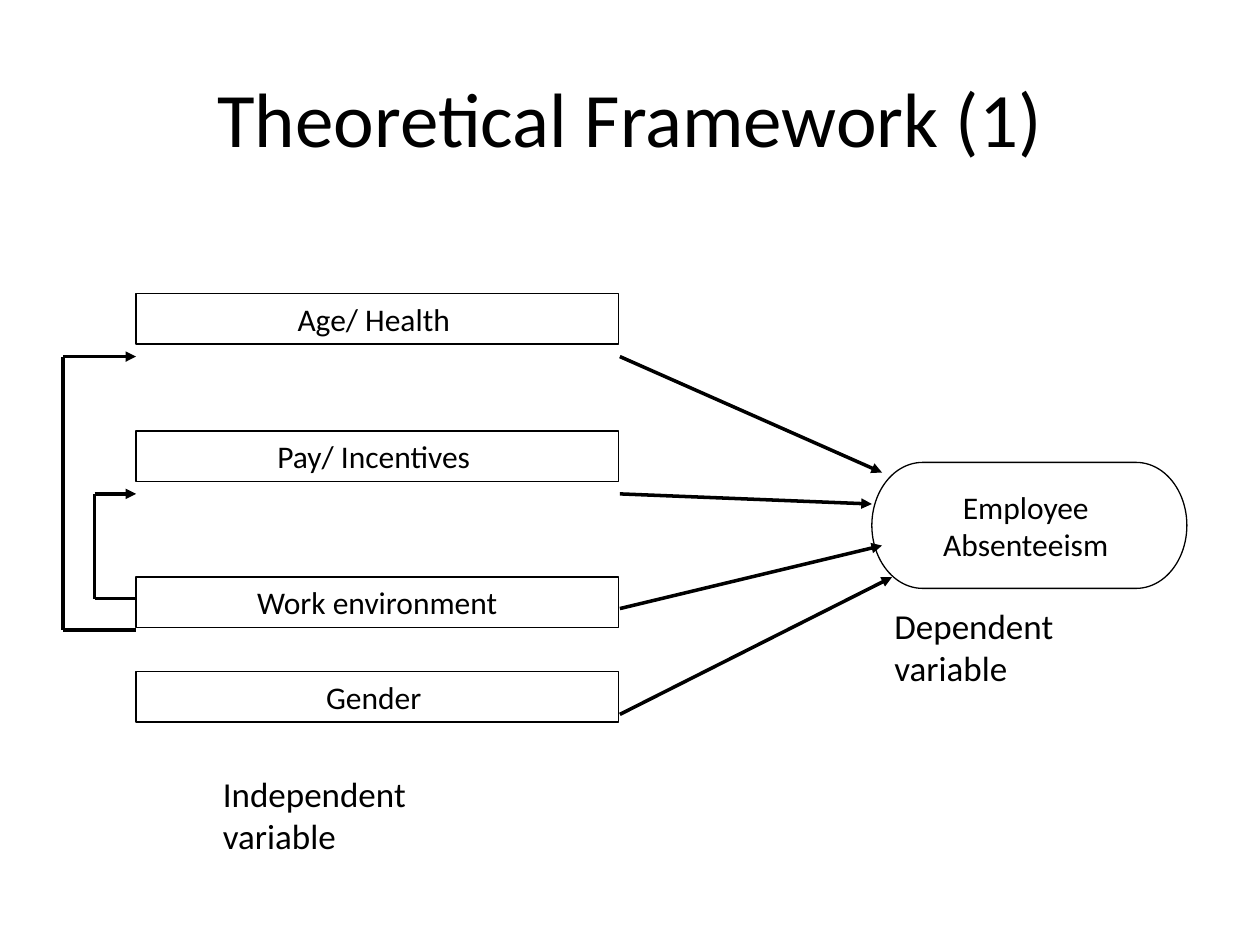
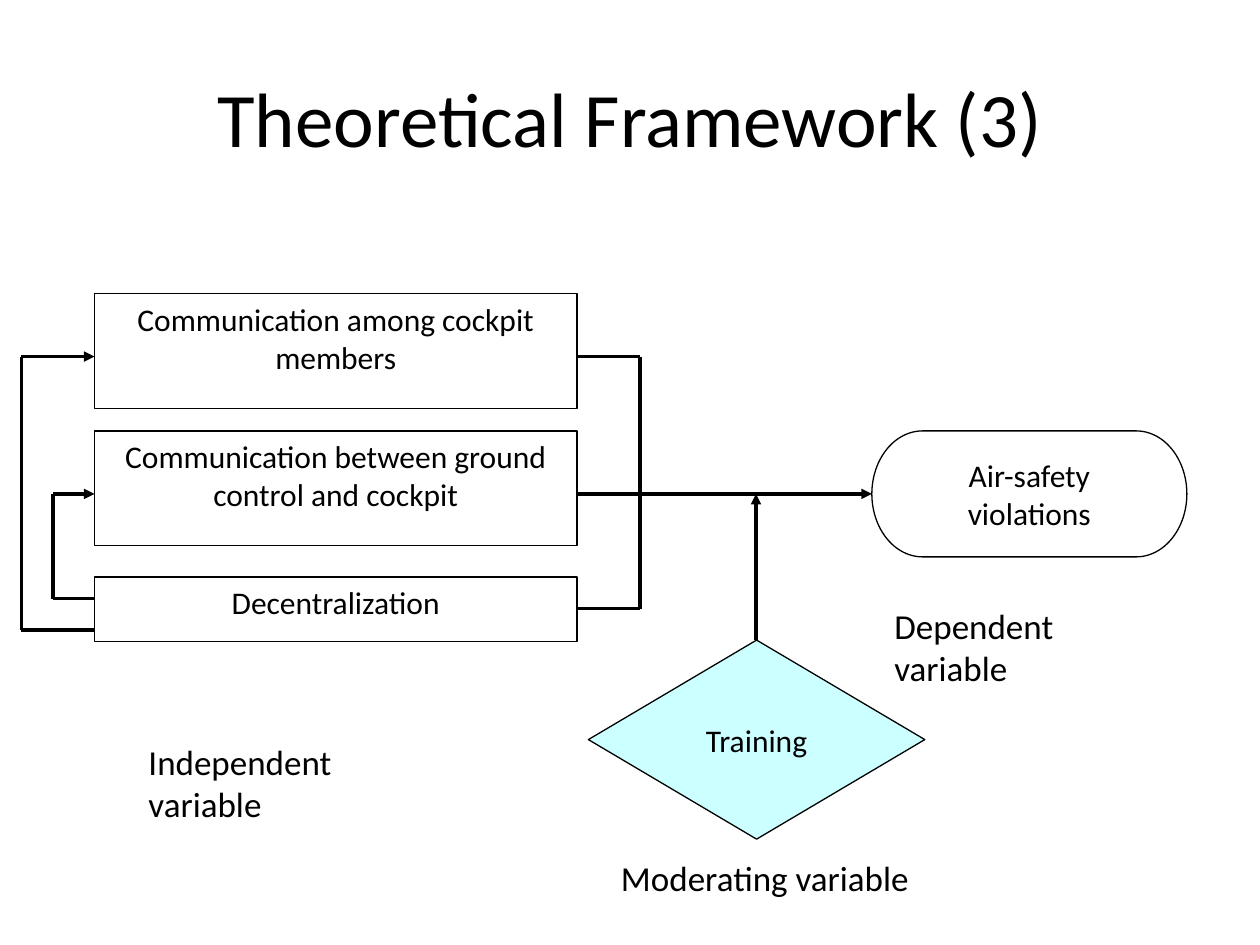
from typing import NamedTuple

from lxml import etree
from pptx import Presentation
from pptx.dml.color import RGBColor
from pptx.enum.shapes import MSO_CONNECTOR, MSO_SHAPE
from pptx.enum.text import MSO_ANCHOR, PP_ALIGN
from pptx.oxml.ns import qn
from pptx.slide import Slide
from pptx.text.text import TextFrame
from pptx.util import Inches, Pt

STRAIGHT = MSO_CONNECTOR.STRAIGHT
RECT = MSO_SHAPE.RECTANGLE
PILL = MSO_SHAPE.FLOWCHART_TERMINATOR
DIAMOND = MSO_SHAPE.FLOWCHART_DECISION
TOP, MIDDLE = MSO_ANCHOR.TOP, MSO_ANCHOR.MIDDLE
LEFT, CENTER = PP_ALIGN.LEFT, PP_ALIGN.CENTER

BLACK = RGBColor(0x00, 0x00, 0x00)
AQUA = RGBColor(0xCC, 0xFF, 0xFF)
FONT = "Calibri"

CAUSE_WIDTH = 3.83
LOOPS = ((0.33, 3.92, 4.75), (0.58, 2.83, 5))


class Box(NamedTuple):
    text: str
    left: float
    top: float
    width: float
    height: float
    kind: MSO_SHAPE = RECT
    fill: RGBColor | None = None


class Label(NamedTuple):
    text: str
    left: float
    top: float
    width: float = 2.58
    height: float = 0.43
    size: int = 20
    align: PP_ALIGN = LEFT
    anchor: MSO_ANCHOR = TOP


class Line(NamedTuple):
    x1: float
    y1: float
    x2: float
    y2: float
    arrow: bool = False


def write(frame: TextFrame, text: str, size: int, align: PP_ALIGN, anchor: MSO_ANCHOR, wrap: bool) -> None:
    frame.text = text
    frame.word_wrap = wrap
    frame.vertical_anchor = anchor
    for para in frame.paragraphs:
        para.alignment = align
        para.font.name = FONT
        para.font.size = Pt(size)
        para.font.color.rgb = BLACK


def draw_label(slide: Slide, label: Label) -> None:
    area = slide.shapes.add_textbox(
        Inches(label.left), Inches(label.top), Inches(label.width), Inches(label.height)
    )
    write(area.text_frame, label.text, label.size, label.align, label.anchor, True)


def draw_box(slide: Slide, box: Box) -> None:
    shape = slide.shapes.add_shape(
        box.kind, Inches(box.left), Inches(box.top), Inches(box.width), Inches(box.height)
    )
    shape.shadow.inherit = False
    if box.fill is None:
        shape.fill.background()
    else:
        shape.fill.solid()
        shape.fill.fore_color.rgb = box.fill
    shape.line.color.rgb = BLACK
    shape.line.width = Pt(0.75)
    cause = box.kind == RECT
    write(shape.text_frame, box.text, 18, CENTER, TOP if cause else MIDDLE, cause)


def draw_line(slide: Slide, line: Line) -> None:
    link = slide.shapes.add_connector(
        STRAIGHT, Inches(line.x1), Inches(line.y1), Inches(line.x2), Inches(line.y2)
    )
    link.line.color.rgb = BLACK
    link.line.width = Pt(2)
    props = link._element.spPr
    if line.arrow:
        etree.SubElement(props.find(qn("a:ln")), qn("a:tailEnd"), type="triangle")
    etree.SubElement(props, qn("a:effectLst"))


def bracket(edge: float, spine: float, top: float, bottom: float, arrow: bool) -> list[Line]:
    return [
        Line(spine, top, edge, top, arrow),
        Line(spine, top, spine, bottom),
        Line(spine, bottom, edge, bottom),
    ]


def loops(edge: float) -> list[Line]:
    return [
        line
        for reach, top, bottom in LOOPS
        for line in bracket(edge, edge - reach, top, bottom, True)
    ]


def causes(left: float, rows: list[tuple[str, float, float]]) -> list[Box]:
    return [Box(text, left, top, CAUSE_WIDTH, height) for text, top, height in rows]


def effect(text: str, top: float) -> Box:
    return Box(text, 6.92, top, 2.5, 1, PILL)


def add_slide(deck: Presentation, number: int, boxes: list[Box], labels: list[Label], lines: list[Line]) -> None:
    slide = deck.slides.add_slide(deck.slide_layouts[6])
    title = Label(f"Theoretical Framework ({number})", 0.5, 0.3, 9, 1.25, 44, CENTER, MIDDLE)
    result = Label("Dependent variable", 7, 4.75, 2.4)
    for box in boxes:
        draw_box(slide, box)
    for label in [title, result, *labels]:
        draw_label(slide, label)
    for line in lines:
        draw_line(slide, line)


def add_absence(deck: Presentation) -> None:
    left, right = 1.08, 4.92
    rows = [
        ("Age/ Health ", 2.33, 0.4),
        ("Pay/ Incentives ", 3.42, 0.4),
        ("Work environment", 4.58, 0.4),
        ("Gender ", 5.33, 0.4),
    ]
    ends = [(2.83, 7, 3.75), (3.92, 6.92, 4), (4.83, 7, 4.33), (5.67, 7.08, 4.58)]
    arrows = [Line(right, start, x, y, True) for start, x, y in ends]
    add_slide(
        deck,
        1,
        [*causes(left, rows), effect("Employee \nAbsenteeism ", 3.67)],
        [Label("Independent variable", 1.67, 6.08)],
        [*arrows, *loops(left)],
    )


def add_safety(deck: Presentation) -> None:
    left, right = 0.75, 4.58
    rows = [
        ("Communication among cockpit members", 2.33, 0.91),
        ("Communication between ground control and cockpit", 3.42, 0.91),
        ("Decentralization", 4.58, 0.51),
    ]
    training = Box("Training", 4.67, 5.08, 2.67, 1.58, DIAMOND, AQUA)
    add_slide(
        deck,
        3,
        [*causes(left, rows), effect("Air-safety\nviolations", 3.42), training],
        [
            Label("Independent variable", 1.08, 5.83),
            Label("Moderating variable", 4.83, 6.75),
        ],
        [
            Line(right, 3.92, 6.92, 3.92, True),
            *loops(left),
            *bracket(right, 5.08, 2.83, 4.83, False),
            Line(6, 5.08, 6, 3.92, True),
        ],
    )


def main() -> None:
    deck = Presentation()
    deck.slide_width = Inches(10)
    deck.slide_height = Inches(7.5)
    add_absence(deck)
    add_safety(deck)
    deck.save("out.pptx")


if __name__ == "__main__":
    main()
